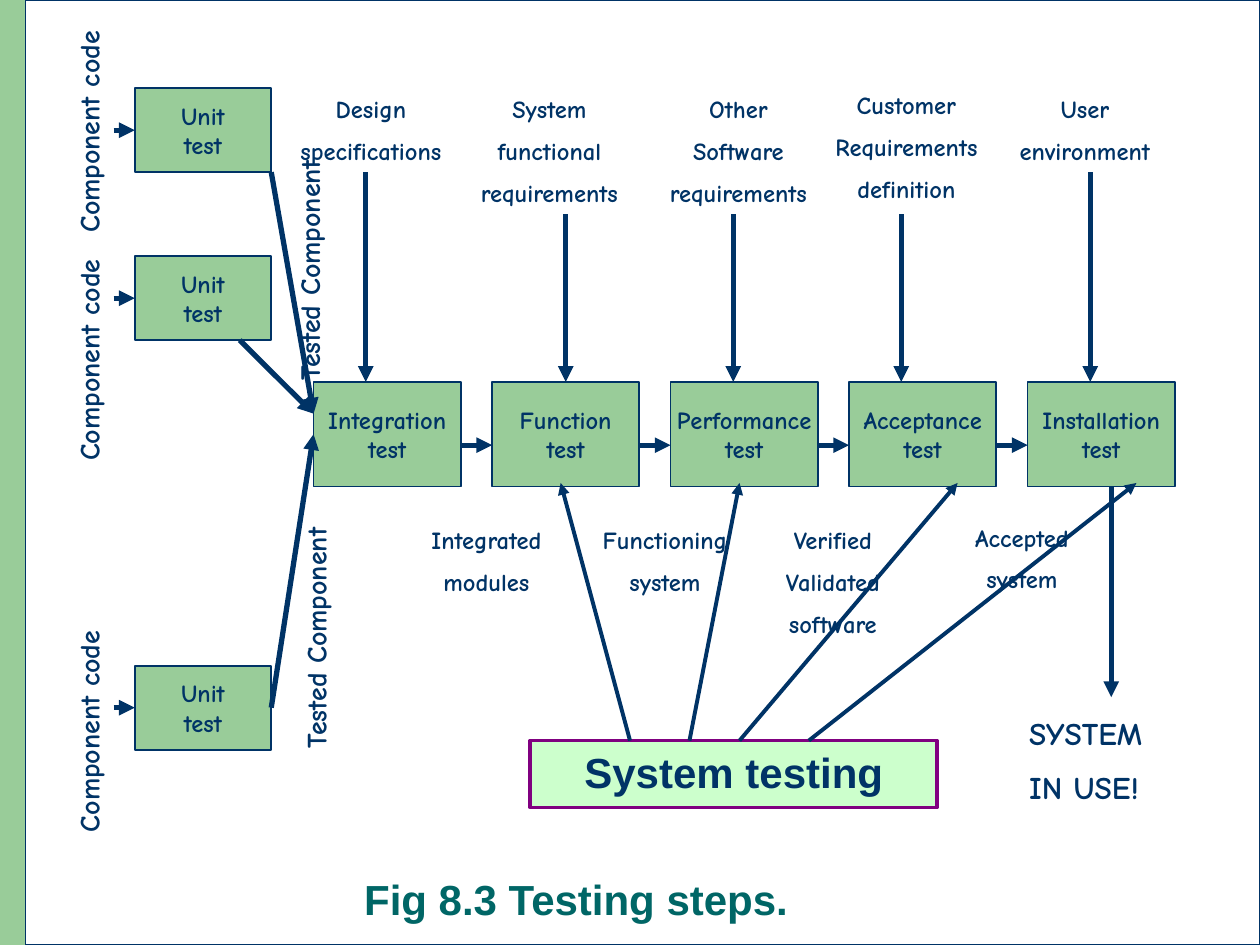
from lxml import etree
from pptx import Presentation
from pptx.dml.color import RGBColor
from pptx.enum.shapes import MSO_CONNECTOR as Link, MSO_SHAPE as Shape
from pptx.enum.text import MSO_ANCHOR as Anchor, PP_ALIGN as Align
from pptx.oxml.ns import qn
from pptx.util import Pt

NAVY, GREEN, COMIC = "003366", "99CC99", "Comic Neue"
color = RGBColor.from_string

deck = Presentation()
deck.slide_width, deck.slide_height = Pt(720), Pt(540)
slide = deck.slides.add_slide(deck.slide_layouts[6])
shapes = slide.shapes


def write(text, left, top, width, height, fill=None, line=None, weight=1,
          size=14, font=COMIC, ink=NAVY, align=Align.CENTER,
          anchor=Anchor.TOP, wrap=True, gap=0, upright=False):
    """Add a text box, or a rectangle when fill is given; one paragraph per line."""
    area = Pt(left), Pt(top), Pt(width), Pt(height)
    if fill:
        box = shapes.add_shape(Shape.RECTANGLE, *area)
        box.shadow.inherit = False
        box.fill.solid()
        box.fill.fore_color.rgb = color(fill)
        if line:
            box.line.color.rgb = color(line)
            box.line.width = Pt(weight)
        else:
            box.line.fill.background()
    else:
        box = shapes.add_textbox(*area)
    frame = box.text_frame
    frame.word_wrap = wrap
    frame.vertical_anchor = anchor
    if upright:
        box.rotation = 180
        frame._txBody.bodyPr.set("vert", "eaVert")
    if text:
        frame.text = text
    for i, para in enumerate(frame.paragraphs):
        para.alignment = align
        if i and gap:
            para.space_before = Pt(gap)
        para.font.size, para.font.name, para.font.bold = Pt(size), font, True
        para.font.color.rgb = color(ink)
    return box


def arrow(x1, y1, x2, y2, weight=3):
    link = shapes.add_connector(Link.STRAIGHT, Pt(x1), Pt(y1), Pt(x2), Pt(y2))
    link.line.color.rgb = color(NAVY)
    link.line.width = Pt(weight)
    etree.SubElement(link.line._get_or_add_ln(), qn("a:tailEnd"), type="triangle")
    etree.SubElement(link._element.spPr, qn("a:effectLst"))
    return link


# Page frame and caption
write("", 0, 0, 58, 540, fill=GREEN)
write("", 14.4, 0, 705.6, 540, fill="FFFFFF", line=NAVY, weight=0.75)
title = write("Fig 8.3 Testing steps.", 201, 496.8, 363.6, 37.4, size=24,
              font="Arial", ink="006666", align=Align.LEFT, anchor=Anchor.MIDDLE)
title.text_frame.paragraphs[0].line_spacing = 0.9

# Test boxes
look = dict(fill=GREEN, line=NAVY, anchor=Anchor.MIDDLE, wrap=False)
names = ["Integration", "Function", "Performance", "Acceptance", "Installation"]
STEP, WIDE, TOP, BASE = 102, 84.2, 218.2, 278
lefts = [179.2 + STEP * i for i in range(len(names))]
tests = [write(name + "\ntest", x, TOP, WIDE, BASE - TOP, **look)
         for name, x in zip(names, lefts)]
units = [write("Unit\ntest", 77, y, 78, 48, **look) for y in (50.4, 146.4, 380.4)]

# Inputs above, results below
for text, x, y in [
    ("Design\nspecifications", 155, 50.4),
    ("System\nfunctional\nrequirements", 257, 50.4),
    ("Other\nSoftware\nrequirements", 365, 50.4),
    ("Customer\nRequirements\ndefinition", 461, 48),
    ("User\nenvironment", 563, 50.4),
    ("Integrated\nmodules", 221, 296.6),
    ("Functioning\nsystem", 323, 296.6),
    ("Verified\nValidated\nsoftware", 419, 296.6),
    ("Accepted\nsystem", 527, 295.2),
]:
    write(text, x, y, 114, 74 if text.count("\n") == 2 else 49, gap=7)
write("SYSTEM\nIN USE!", 581, 404.6, 102, 61, size=18, align=Align.LEFT, gap=9)

# Flow into and between the boxes
for unit, y in zip(units, (74.4, 170.4, 404.4)):
    arrow(65, y, 77, y).end_connect(unit, 1)
for x in lefts[1:]:
    arrow(x - STEP + WIDE, 254.4, x, 254.4)
arrow(137, 194.4, 179.2, 236.4)
arrow(155, 98.4, 179.2, 236.4)
merge = arrow(155, 404.4, 179.2, 248)
merge.begin_connect(units[2], 3)
merge.end_connect(tests[0], 1)
arrow(635, BASE, 635, 398.4)
for x, y in [(209, 98.4), (323.3, 122.4), (419, 122.4), (515, 122.4), (623, 98.4)]:
    drop = arrow(x, y, x, TOP)
    if x == 323.3:
        drop.end_connect(tests[1], 0)

# Upright labels
for text, x, y, tall in [
    ("Component code", 37.4, 350.6, 132),
    ("Component code", 37.4, 138.4, 132),
    ("Component code", 37.4, 8, 132),
    ("Tested Component", 167, 278.6, 156),
    ("Tested Component", 163.4, 68.4, 156),
]:
    write(text, x, y, 33.8, tall, size=16, align=Align.LEFT, upright=True)

# System testing and the tests it covers
write("System testing", 303, 423.2, 232.6, 38.2, fill="CCFFCC", line="800080",
      weight=2, size=24, font="Arial")
for start, end in [(360, 320.4), (394, 422.6), (422.6, 547.2), (462.2, 649.4)]:
    arrow(start, 423.2, end, 276, weight=2.25)

deck.save("out.pptx")
